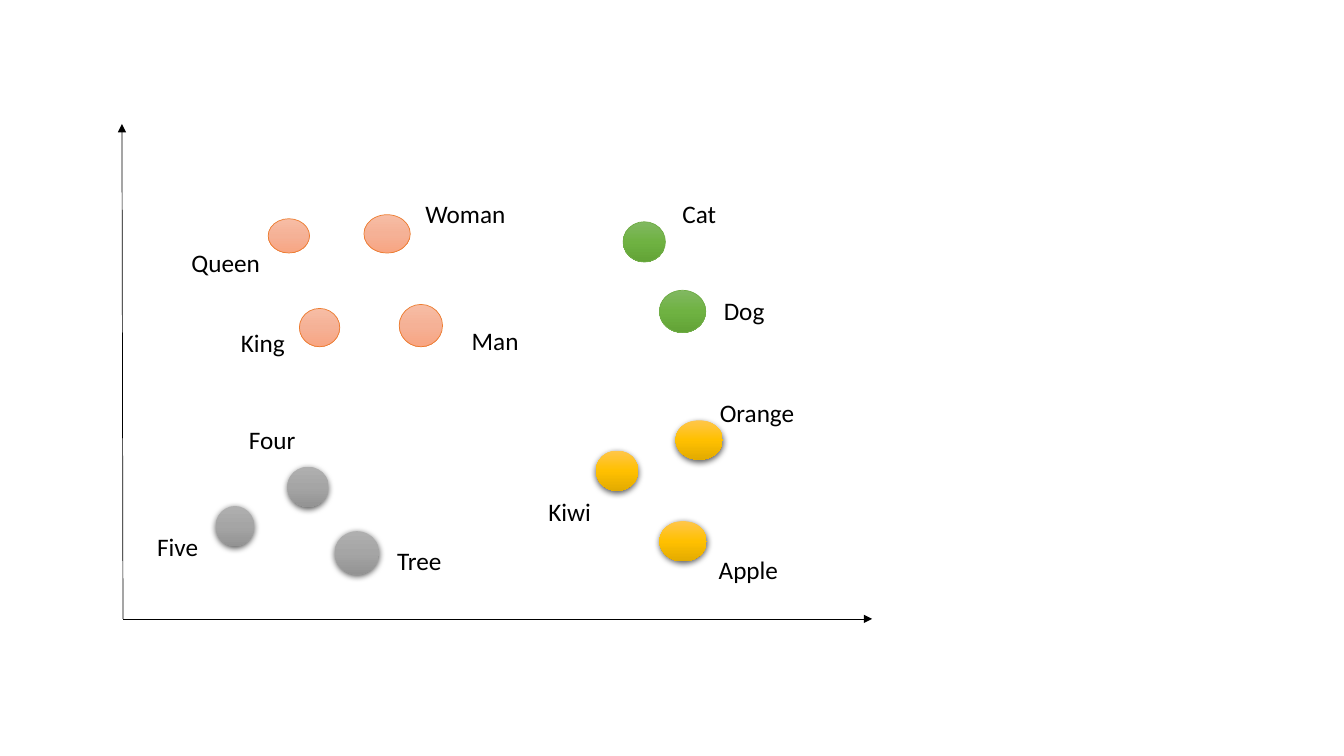
from copy import deepcopy

from lxml import etree
from pptx import Presentation
from pptx.dml.color import RGBColor
from pptx.enum.shapes import MSO_CONNECTOR, MSO_SHAPE
from pptx.enum.text import MSO_AUTO_SIZE
from pptx.oxml import parse_xml
from pptx.oxml.ns import qn
from pptx.util import Inches, Pt

OVAL = MSO_SHAPE.OVAL
STRAIGHT = MSO_CONNECTOR.STRAIGHT
GROW = MSO_AUTO_SIZE.SHAPE_TO_FIT_TEXT
INK = "000000"
SHADOW = (
    '<a:outerShdw xmlns:a="http://schemas.openxmlformats.org/drawingml/2006/main"'
    ' blurRad="57150" dist="19050" dir="5400000" algn="ctr" rotWithShape="0">'
    '<a:srgbClr val="000000"><a:alpha val="63000"/></a:srgbClr></a:outerShdw>'
)

# Each cluster: corner, gradient colours, outline (None gives a shadow),
# and its words as (word, dot box, label left, label top, label width),
# measured from the corner.
CLUSTERS = [
    ((1.46, 4.16), ("AFAFAF", "A5A5A5", "939393"), None, [
        ("Tree", (1.86, 1.11, 0.44, 0.43), 2.38, 1.2, 0.65),
        ("Four", (1.39, 0.47, 0.41, 0.4), 0.91, 0, 0.67),
        ("Five", (0.68, 0.86, 0.38, 0.4), 0, 1.06, 0.61),
    ]),
    ((5.34, 3.89), ("FFC64B", "FFC000", "E3AB00"), None, [
        ("Kiwi", (0.57, 0.58, 0.42, 0.4), 0, 0.98, 0.63),
        ("Apple", (1.2, 1.28, 0.47, 0.4), 1.69, 1.56, 0.8),
        ("Orange", (1.36, 0.28, 0.47, 0.39), 1.7, 0, 0.95),
    ]),
    ((1.8, 1.92), ("F7BDA5", "F5B196", "F8A582"), "ED7D31", [
        ("Queen", (0.86, 0.25, 0.41, 0.34), 0, 0.48, 0.89),
        ("Woman", (1.81, 0.21, 0.46, 0.38), 2.32, 0, 1),
        ("King", (1.17, 1.14, 0.4, 0.38), 0.49, 1.28, 0.64),
        ("Man", (2.16, 1.1, 0.43, 0.42), 2.78, 1.26, 0.67),
    ]),
    ((6.18, 1.92), ("81B861", "6FB242", "62A336"), "70AD47", [
        ("Cat", (0, 0.28, 0.42, 0.4), 0.49, 0, 0.54),
        ("Dog", (0.36, 0.96, 0.46, 0.42), 0.9, 0.96, 0.61),
    ]),
]


def paint(code):
    """Turn a hex string into a colour."""
    return RGBColor.from_string(code)


def write(shapes, text, box, size=18, font="Calibri", color=INK):
    """Add one unwrapped line of text."""
    frame = shapes.add_textbox(*map(Inches, box)).text_frame
    frame.word_wrap = False
    frame.auto_size = GROW
    run = frame.paragraphs[0].add_run()
    run.text = text
    run.font.size, run.font.name = Pt(size), font
    run.font.color.rgb = paint(color)


def shade(fill, colors):
    """Fill from top to bottom with evenly spaced colours."""
    fill.gradient()
    fill.gradient_angle = 270
    stops = fill.gradient_stops
    first = stops[0]._gs
    for _ in colors[2:]:
        first.addnext(deepcopy(first))
    for i, (stop, code) in enumerate(zip(fill.gradient_stops, colors)):
        stop.position = i / (len(colors) - 1)
        stop.color.rgb = paint(code)


def dot(shapes, box, colors, edge):
    """Add a shaded oval with an outline, or a shadow if there is none."""
    oval = shapes.add_shape(OVAL, *map(Inches, box))
    shade(oval.fill, colors)
    oval.shadow.inherit = False
    if edge:
        oval.line.color.rgb = paint(edge)
        oval.line.width = Pt(0.5)
    else:
        oval.line.fill.background()
        props = oval._element.spPr
        props.find(qn("a:effectLst")).append(parse_xml(SHADOW))


def cluster(slide, corner, colors, edge, words):
    """Group the dots and labels of related words at a corner."""
    x, y = corner
    shapes = slide.shapes.add_group_shape().shapes
    for _, (dx, dy, w, h), *_ in words:
        dot(shapes, (x + dx, y + dy, w, h), colors, edge)
    for word, _, dx, dy, w in words:
        write(shapes, word, (x + dx, y + dy, w, 0.4))


def arrow(slide, start, end):
    """Draw a thin line with a head at its end."""
    line = slide.shapes.add_connector(STRAIGHT, *map(Inches, start + end))
    line.line.color.rgb = paint(INK)
    line.line.width = Pt(0.5)
    etree.SubElement(line.line._get_or_add_ln(), qn("a:tailEnd"), type="triangle")
    etree.SubElement(line._element.spPr, qn("a:effectLst"))


def axes(slide, box):
    """Draw both axes from the lower left corner of the box."""
    x, y, w, h = box
    base = (x, y + h)
    arrow(slide, base, (x - 0.01, y))
    arrow(slide, base, (x + w, y + h))


def main():
    """Build the word map and save it."""
    deck = Presentation()
    deck.slide_width, deck.slide_height = Inches(13.33), Inches(7.5)
    slide = deck.slides.add_slide(deck.slide_layouts[6])
    axes(slide, (1.22, 1.23, 7.43, 4.91))
    for group in CLUSTERS:
        cluster(slide, *group)
    deck.save("out.pptx")


main()
